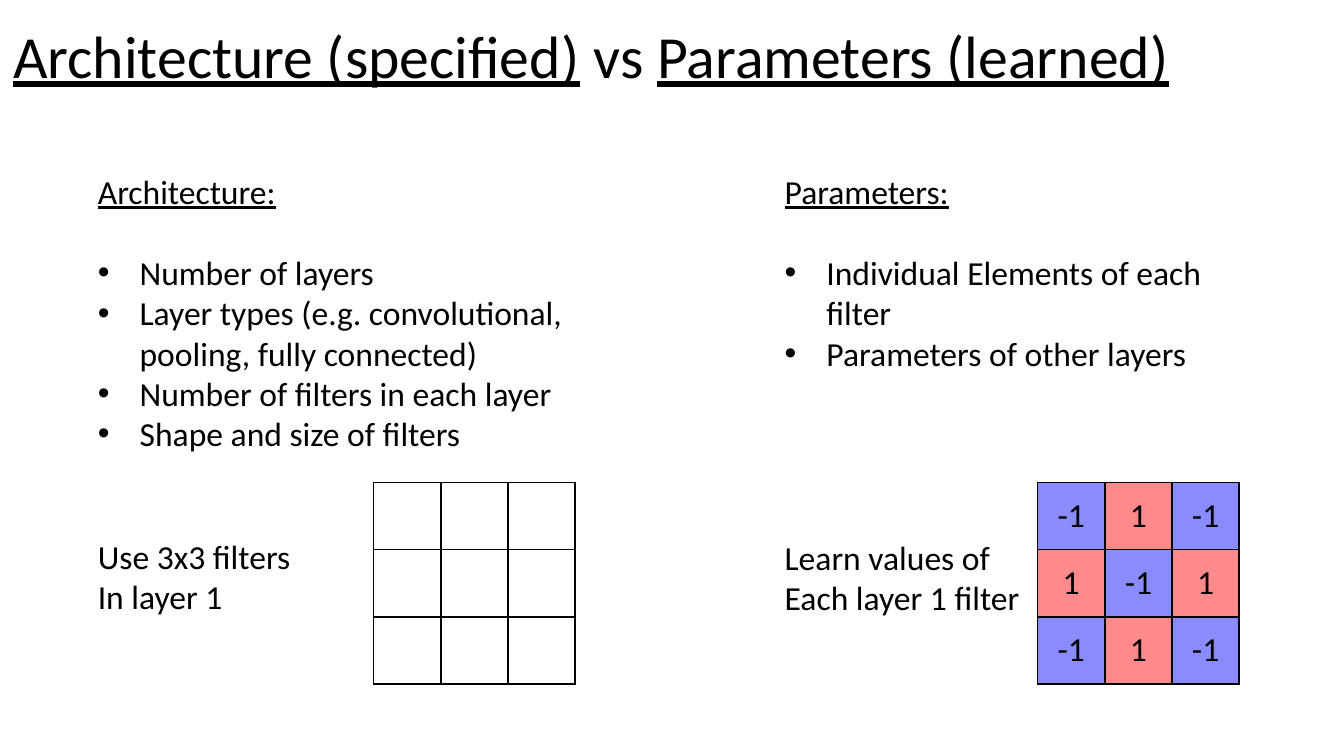
from dataclasses import dataclass

from lxml.etree import SubElement
from pptx import Presentation
from pptx.dml.color import RGBColor
from pptx.enum.text import MSO_ANCHOR, PP_ALIGN
from pptx.oxml import parse_xml
from pptx.oxml.ns import nsdecls, qn
from pptx.util import Cm, Pt

TITLE = [("Architecture (specified)", True), (" vs ", False), ("Parameters (learned)", True)]

COLUMNS = [
    {
        "left": 1.6,
        "heading": "Architecture:",
        "bullets": [
            "Number of layers",
            "Layer types (e.g. convolutional, pooling, fully connected)",
            "Number of filters in each layer",
            "Shape and size of filters",
        ],
        "example": ["Use 3x3 filters", "In layer 1"],
        "example_gap": 2,
        "filter_left": 7.06,
        "filter": [[None] * 3] * 3,
    },
    {
        "left": 14.58,
        "heading": "Parameters:",
        "bullets": ["Individual Elements of each filter", "Parameters of other layers"],
        "example": ["Learn values of", "Each layer 1 filter"],
        "example_gap": 4,
        "filter_left": 19.61,
        "filter": [[-1, 1, -1], [1, -1, 1], [-1, 1, -1]],
    },
]


@dataclass(frozen=True)
class Theme:
    font: str = "Calibri"
    ink: RGBColor = RGBColor(0, 0, 0)
    negative: RGBColor = RGBColor(0x8A, 0x8B, 0xFF)
    positive: RGBColor = RGBColor(0xFF, 0x8A, 0x8B)
    title_size: Pt = Pt(32)
    body_size: Pt = Pt(18)
    body_line: Pt = Pt(22)
    border: Pt = Pt(1)


THEME = Theme()
COLUMN_TOP, COLUMN_WIDTH, COLUMN_HEIGHT = Cm(3.1), Cm(9.55), Cm(8.71)
FILTER_TOP, FILTER_CELL = Cm(9.12), Cm(1.27)
BULLET_INDENT = Cm(0.79)


def apply(target, formats):
    for name, value in formats.items():
        setattr(target, name, value)


def add_run(paragraph, text, size=THEME.body_size, underline=False):
    run = paragraph.add_run()
    run.text = text
    apply(run.font, {"name": THEME.font, "size": size, "underline": underline})
    run.font.color.rgb = THEME.ink


def add_text_frame(slide, left, top, width, height):
    frame = slide.shapes.add_textbox(left, top, width, height).text_frame
    apply(frame, {"word_wrap": True, "vertical_anchor": MSO_ANCHOR.TOP})
    return frame


def add_bullet(paragraph):
    properties = paragraph._p.get_or_add_pPr()
    properties.set("marL", str(BULLET_INDENT))
    properties.set("indent", str(-BULLET_INDENT))
    SubElement(properties, qn("a:buFont")).set("typeface", "Arial")
    SubElement(properties, qn("a:buChar")).set("char", "•")


def add_group(frame, lines, blank_lines, bulleted=False):
    for index, line in enumerate(lines):
        paragraph = frame.add_paragraph()
        if bulleted:
            add_bullet(paragraph)
        if index == 0:
            paragraph.space_before = blank_lines * THEME.body_line
        add_run(paragraph, line)


def add_borders(cell):
    properties = cell._tc.get_or_add_tcPr()
    for index, side in enumerate(("lnL", "lnR", "lnT", "lnB")):
        properties.insert(index, parse_xml(
            f'<a:{side} {nsdecls("a")} w="{THEME.border}"><a:solidFill>'
            f'<a:srgbClr val="{THEME.ink}"/></a:solidFill></a:{side}>'
        ))


def add_filter(slide, left, values):
    count = len(values)
    side = count * FILTER_CELL
    table = slide.shapes.add_table(count, count, left, FILTER_TOP, side, side).table
    apply(table, {"first_row": False, "horz_banding": False})
    for column in table.columns:
        column.width = FILTER_CELL
    for row, row_values in enumerate(values):
        table.rows[row].height = FILTER_CELL
        for column, value in enumerate(row_values):
            cell = table.cell(row, column)
            cell.vertical_anchor = MSO_ANCHOR.MIDDLE
            if value is None:
                cell.fill.background()
            else:
                cell.fill.solid()
                cell.fill.fore_color.rgb = THEME.positive if value > 0 else THEME.negative
                paragraph = cell.text_frame.paragraphs[0]
                paragraph.alignment = PP_ALIGN.CENTER
                add_run(paragraph, str(value))
            add_borders(cell)


def main():
    presentation = Presentation()
    apply(presentation, {"slide_width": Cm(25.4), "slide_height": Cm(14.29)})
    slide = presentation.slides.add_slide(presentation.slide_layouts[6])

    title = add_text_frame(slide, 0, Cm(0.38), Cm(25.4), Cm(2.39)).paragraphs[0]
    title.line_spacing = 0.9
    for text, underline in TITLE:
        add_run(title, text, THEME.title_size, underline)

    for column in COLUMNS:
        frame = add_text_frame(slide, Cm(column["left"]), COLUMN_TOP, COLUMN_WIDTH, COLUMN_HEIGHT)
        add_run(frame.paragraphs[0], column["heading"], underline=True)
        add_group(frame, column["bullets"], 1, bulleted=True)
        add_group(frame, column["example"], column["example_gap"])
        add_filter(slide, Cm(column["filter_left"]), column["filter"])

    presentation.save("out.pptx")


if __name__ == "__main__":
    main()
